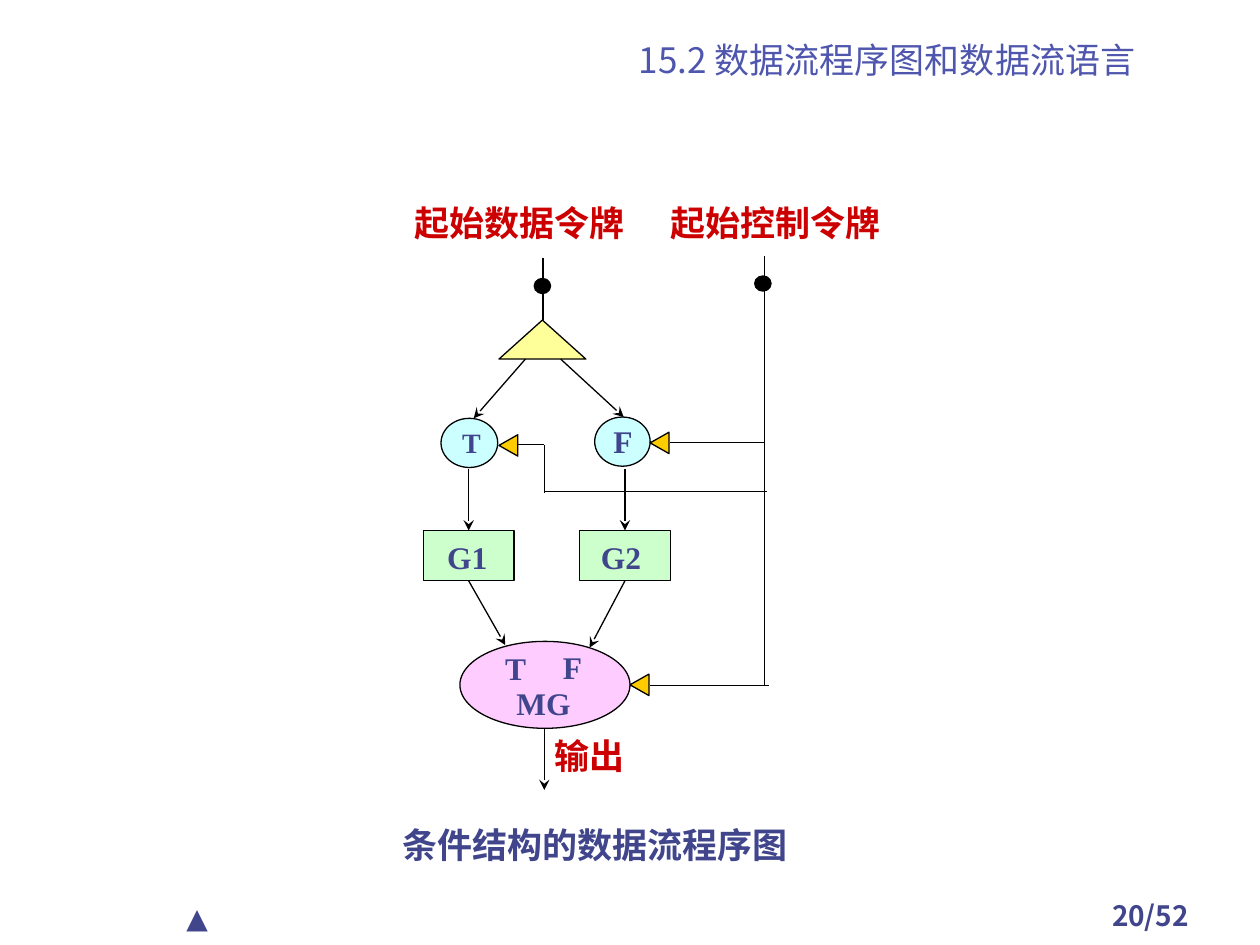
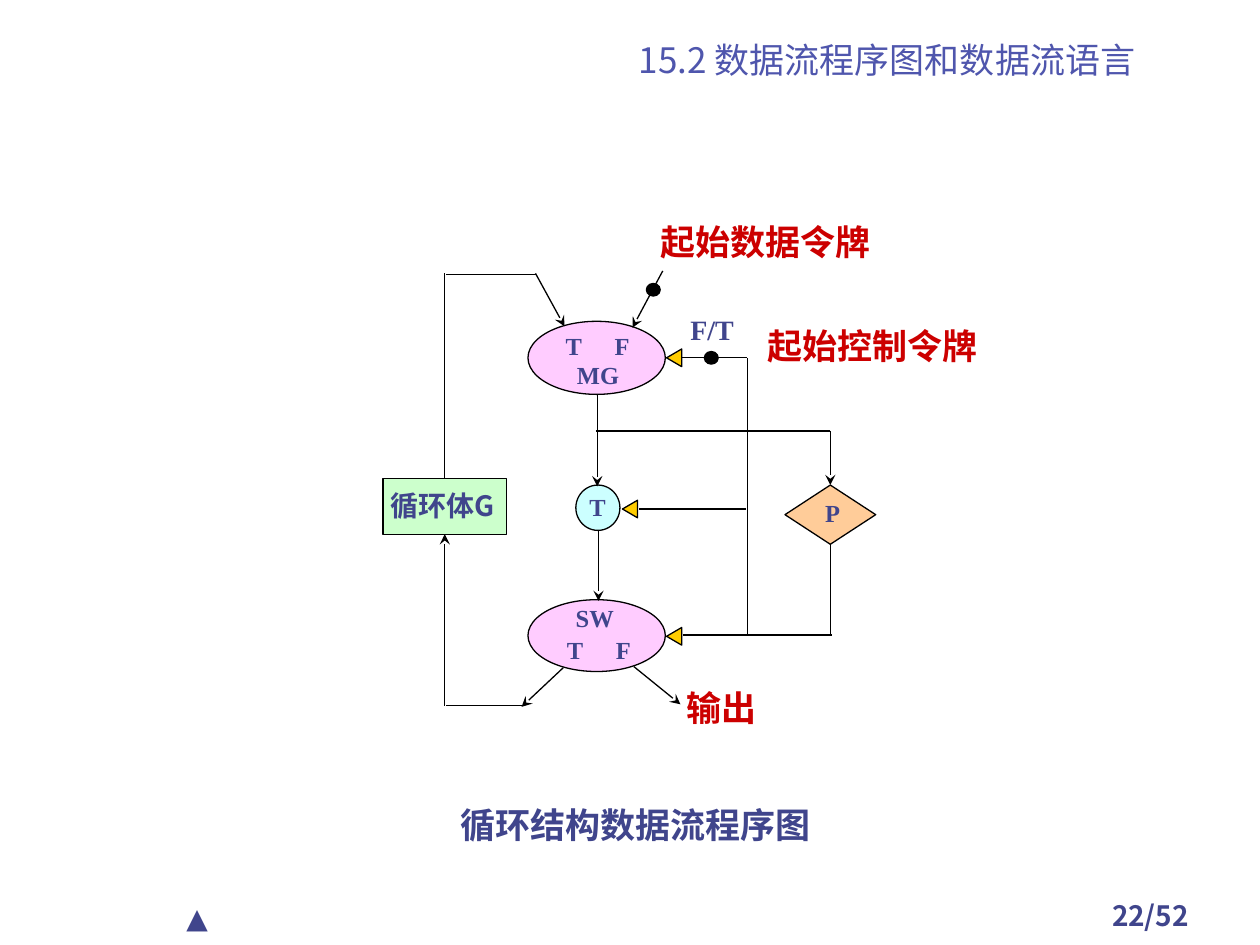
import pptx
import pptx.dml.color
import pptx.enum.shapes
import pptx.enum.text
import pptx.oxml
import pptx.oxml.ns
import pptx.util

Inches = pptx.util.Inches
Pt = pptx.util.Pt
qn = pptx.oxml.ns.qn
Kind = pptx.enum.shapes.MSO_SHAPE
Align = pptx.enum.text.PP_ALIGN

INK = "40458C"
RED = "CC0000"
BLACK = "000000"
SKY = "CCFFFF"
MINT = "CCFFCC"
PINK = "FFCCFF"
GOLD = "FFCC00"
CJK = "Noto Sans CJK SC"
ROMAN = "Times New Roman"
KARLA = "Karla"
TITLE = "15.2 数据流程序图和数据流语言"
DATA, CTRL, OUT = "起始数据令牌", "起始控制令牌", "输出"


def tint(code):
    return pptx.dml.color.RGBColor.from_string(code)


def write(part, text, size, hue, face, bold=True):
    run = part.add_run()
    run.text = text
    run.font.size = Pt(size)
    run.font.bold = bold
    run.font.name = face
    run.font.color.rgb = tint(hue)
    east = pptx.oxml.parse_xml(
        '<a:ea xmlns:a="http://schemas.openxmlformats.org/drawingml/2006/main"'
        f' typeface="{CJK}"/>')
    run.font._element.find(qn("a:latin")).addnext(east)


branch = {
    "page": "20/52",
    "foot": ("条件结构的数据流程序图", 1.77, 6.43, 5.98),
    "nodes": [
        (Kind.OVAL, SKY, 4.72, 3.31, 0.44, 0.39),
        (Kind.OVAL, SKY, 3.5, 3.32, 0.45, 0.39),
        (Kind.RECTANGLE, MINT, 3.36, 4.21, 0.72, 0.4),
        (Kind.RECTANGLE, MINT, 4.6, 4.21, 0.72, 0.4),
        (Kind.OVAL, PINK, 3.65, 5.09, 1.35, 0.69),
        (Kind.ISOSCELES_TRIANGLE, "FFFF99", 3.96, 2.54, 0.69, 0.31),
    ],
    "gates": [(3.95, 3.46), (5.15, 3.44), (4.99, 5.36)],
    "gate": (0.17, 0.15),
    "dots": [(4.24, 2.21), (5.99, 2.19)],
    "dot": (0.13, 0.12),
    "wires": [
        (4.31, 2.05, 4.31, 2.54),
        (6.07, 2.03, 6.07, 5.44),
        (5.16, 5.44, 6.1, 5.44),
        (4.32, 3.9, 6.09, 3.9),
        (4.1, 3.53, 4.32, 3.53),
        (4.32, 3.53, 4.32, 3.91),
        (5.32, 3.51, 6.06, 3.51),
    ],
    "flows": [
        (4.17, 2.85, 3.76, 3.32),
        (4.45, 2.85, 4.95, 3.31),
        (3.72, 3.72, 3.72, 4.21),
        (4.96, 3.72, 4.96, 4.21),
        (3.72, 4.61, 4.01, 5.12),
        (4.96, 4.61, 4.68, 5.14),
        (4.32, 5.78, 4.32, 6.27),
    ],
    "words": [
        (DATA, 3.19, 1.55, 1.99, 20, RED, ROMAN),
        (CTRL, 5.22, 1.55, 1.99, 20, RED, ROMAN),
        (OUT, 4.3, 5.78, 1.18, 20, RED, ROMAN),
        ("T", 3.57, 3.33, 0.71, 16, INK, ROMAN),
        ("F", 4.77, 3.3, 0.71, 18, INK, ROMAN),
        ("G1", 3.45, 4.22, 0.85, 18, INK, ROMAN),
        ("G2", 4.67, 4.22, 0.85, 18, INK, ROMAN),
        ("T", 3.91, 5.1, 0.81, 18, INK, ROMAN),
        ("F", 4.37, 5.09, 0.76, 18, INK, ROMAN),
        ("MG", 4, 5.38, 0.88, 18, INK, ROMAN),
    ],
}

cycle = {
    "page": "22/52",
    "foot": ("循环结构数据流程序图", 1.22, 6.27, 7.72),
    "nodes": [
        (Kind.OVAL, SKY, 4.57, 3.85, 0.35, 0.36),
        (Kind.OVAL, PINK, 4.19, 4.76, 1.09, 0.57),
        (Kind.OVAL, PINK, 4.19, 2.55, 1.09, 0.58),
        (Kind.RECTANGLE, MINT, 3.04, 3.8, 0.98, 0.44),
        (Kind.DIAMOND, "FFCC99", 6.23, 3.85, 0.72, 0.47),
    ],
    "gates": [(4.93, 3.98), (5.28, 2.78), (5.28, 4.99)],
    "gate": (0.14, 0.12),
    "dots": [(5.13, 2.25), (5.59, 2.79)],
    "dot": (0.11, 0.1),
    "wires": [
        (3.54, 2.18, 4.25, 2.18),
        (3.53, 2.17, 3.53, 3.8),
        (3.54, 5.6, 4.17, 5.6),
        (5.42, 5.04, 6.6, 5.04),
        (6.59, 4.32, 6.59, 5.05),
        (4.73, 3.42, 6.59, 3.42),
        (5.41, 2.84, 5.93, 2.84),
        (5.93, 2.84, 5.93, 5.04),
        (5.07, 4.04, 5.92, 4.04),
    ],
    "flows": [
        (4.25, 2.17, 4.48, 2.59),
        (5.26, 2.15, 5.02, 2.6),
        (4.74, 3.13, 4.74, 3.86),
        (4.75, 4.21, 4.75, 4.77),
        (4.47, 5.3, 4.14, 5.61),
        (5.03, 5.29, 5.4, 5.59),
        (3.53, 5.6, 3.53, 4.24),
        (6.59, 3.42, 6.59, 3.85),
    ],
    "words": [
        (DATA, 5.14, 1.7, 1.98, 20, RED, ROMAN),
        (CTRL, 5.99, 2.53, 2.01, 20, RED, ROMAN),
        (OUT, 5.35, 5.4, 0.95, 20, RED, ROMAN),
        ("F/T", 5.38, 2.43, 0.85, 16, INK, ROMAN),
        ("T", 4.39, 2.58, 0.65, 14, INK, ROMAN),
        ("F", 4.78, 2.58, 0.61, 14, INK, ROMAN),
        ("MG", 4.48, 2.81, 0.71, 14, INK, ROMAN),
        ("T", 4.58, 3.86, 0.57, 14, INK, ROMAN),
        ("P", 6.45, 3.9, 0.61, 14, INK, ROMAN),
        ("SW", 4.47, 4.74, 0.71, 14, INK, ROMAN),
        ("T", 4.4, 4.99, 0.65, 14, INK, ROMAN),
        ("F", 4.79, 4.99, 0.61, 14, INK, ROMAN),
        ("循环体G", 3, 3.83, 1.2, 16, INK, CJK),
    ],
}

deck = pptx.Presentation()
deck.slide_width = Inches(10)
deck.slide_height = Inches(7.5)

for chart in (branch, cycle):
    slide = deck.slides.add_slide(deck.slide_layouts[5])
    head = slide.shapes.title
    head.left, head.top = Inches(4.25), Inches(0.27)
    head.width, head.height = Inches(5.58), Inches(0.42)
    head.text_frame.auto_size = pptx.enum.text.MSO_AUTO_SIZE.NONE
    head.text_frame.vertical_anchor = pptx.enum.text.MSO_ANCHOR.BOTTOM
    line = head.text_frame.paragraphs[0]
    line.alignment = Align.CENTER
    write(line, TITLE, 20, "4F56AD", CJK, False)

    marks = [(*node, 0) for node in chart["nodes"]]
    marks += [(Kind.ISOSCELES_TRIANGLE, GOLD, *spot, *chart["gate"], 270)
              for spot in chart["gates"]]
    marks += [(Kind.OVAL, BLACK, *spot, *chart["dot"], 0)
              for spot in chart["dots"]]
    ports = []
    for kind, hue, x, y, w, h, turn in marks:
        mark = slide.shapes.add_shape(
            kind, Inches(x), Inches(y), Inches(w), Inches(h))
        mark.shadow.inherit = False
        mark.rotation = turn
        mark.fill.solid()
        mark.fill.fore_color.rgb = tint(hue)
        mark.line.color.rgb = tint(BLACK)
        mark.line.width = Pt(0.75)
        if kind in (Kind.RECTANGLE, Kind.DIAMOND):
            sides = [(x + w / 2, y), (x, y + h / 2),
                     (x + w / 2, y + h), (x + w, y + h / 2)]
            ports += [(mark, site, *side) for site, side in enumerate(sides)]

    for group in ("wires", "flows"):
        for x1, y1, x2, y2 in chart[group]:
            link = slide.shapes.add_connector(
                pptx.enum.shapes.MSO_CONNECTOR.STRAIGHT,
                Inches(x1), Inches(y1), Inches(x2), Inches(y2))
            for mark, site, x, y in ports:
                if max(abs(x - x1), abs(y - y1)) < 0.02:
                    link.begin_connect(mark, site)
                if max(abs(x - x2), abs(y - y2)) < 0.02:
                    link.end_connect(mark, site)
            link.line.color.rgb = tint(BLACK)
            link.line.width = Pt(0.75)
            if group == "flows":
                tip = link.line._get_or_add_ln().makeelement(
                    qn("a:tailEnd"), {"type": "stealth"})
                link.line._get_or_add_ln().append(tip)
            props = link._element.spPr
            props.append(props.makeelement(qn("a:effectLst"), {}))

    text, x, y, w = chart["foot"]
    words = [(*word, True, None, 0) for word in chart["words"]]
    words += [
        (text, x, y, w, 20, INK, KARLA, True, Align.CENTER, 15),
        (chart["page"], 8.42, 7.08, 1.42, 16, INK, CJK, True, Align.CENTER, 0),
        ("▲", 1.38, 7.1, 1.42, 16, INK, KARLA, False, None, 10),
    ]
    for text, x, y, w, size, hue, face, bold, side, gap in words:
        box = slide.shapes.add_textbox(
            Inches(x), Inches(y), Inches(w), Inches(0.4 if y > 7 else 0.5))
        box.text_frame.word_wrap = True
        line = box.text_frame.paragraphs[0]
        line.alignment = side
        line.space_before = Pt(gap)
        write(line, text, size, hue, face, bold)
        if gap == 15:
            write(line, " ", 24, hue, face, False)

deck.save("out.pptx")
